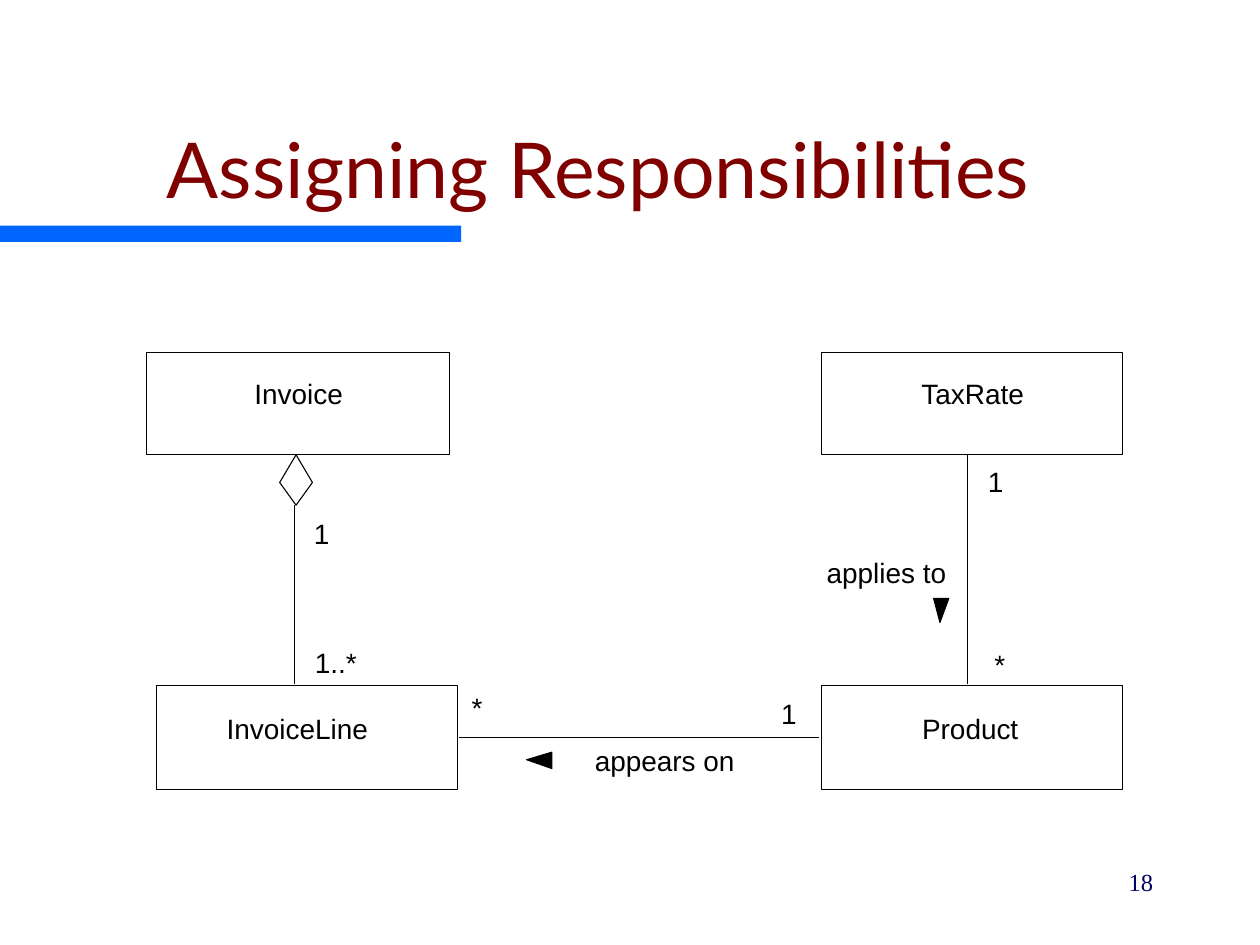
from typing import NamedTuple

from lxml.etree import SubElement
from pptx import Presentation
from pptx.dml.color import RGBColor
from pptx.enum.shapes import MSO_CONNECTOR as Connector, MSO_SHAPE as Shape
from pptx.enum.text import (MSO_ANCHOR as Anchor, MSO_AUTO_SIZE as AutoSize,
                            PP_ALIGN as Align)
from pptx.oxml.ns import qn
from pptx.slide import Slide
from pptx.text.text import TextFrame
from pptx.util import Inches, Pt

BLACK = RGBColor(0x00, 0x00, 0x00)
MAROON = RGBColor(0x80, 0x00, 0x00)
NAVY = RGBColor(0x00, 0x00, 0x66)
BLUE = RGBColor(0x00, 0x66, 0xFF)
LINE_WIDTH = Pt(0.62)
LABEL_HEIGHT = 0.27


class Label(NamedTuple):
    text: str
    left: float
    top: float
    width: float


class ClassBox(NamedTuple):
    left: float
    top: float
    width: float
    height: float
    name: Label


class Association(NamedTuple):
    start: tuple[float, float]
    end: tuple[float, float]


class Outline(NamedTuple):
    points: list[tuple[float, float]]
    filled: bool


CLASSES = [
    ClassBox(1.16, 2.8, 2.41, 0.81, Label("Invoice", 2.01, 2.99, 0.72)),
    ClassBox(1.24, 5.44, 2.39, 0.83, Label("InvoiceLine", 1.79, 5.65, 1.14)),
    ClassBox(6.52, 5.44, 2.39, 0.83, Label("Product", 7.31, 5.65, 0.78)),
    ClassBox(6.52, 2.8, 2.39, 0.81, Label("TaxRate", 7.3, 2.99, 0.84)),
]
ASSOCIATIONS = [
    Association((2.34, 5.43), (2.34, 4.01)),
    Association((6.5, 5.85), (3.64, 5.85)),
    Association((7.68, 3.61), (7.68, 5.43)),
]
OUTLINES = [
    Outline([(2.35, 3.61), (2.22, 3.83), (2.35, 4.01), (2.48, 3.83)], False),
    Outline([(4.38, 5.97), (4.38, 6.1), (4.18, 6.03)], True),
    Outline([(7.41, 4.75), (7.53, 4.75), (7.46, 4.94)], True),
]
LABELS = [
    Label("1..*", 2.49, 5.12, 0.35),
    Label("1", 2.49, 4.1, 0.12),
    Label("1", 6.2, 5.53, 0.12),
    Label("*", 3.74, 5.48, 0.09),
    Label("appears on", 4.72, 5.9, 1.11),
    Label("1", 7.84, 3.69, 0.12),
    Label("*", 7.89, 5.14, 0.09),
    Label("applies to", 6.56, 4.41, 0.95),
]


def write_text(frame: TextFrame, text: str, *, size: float = 16,
               font: str = "Arial", color: RGBColor = BLACK,
               align: Align = Align.CENTER, anchor: Anchor = Anchor.TOP,
               wrap: bool = False, margins: tuple[float, float] = (0, 0),
               space_before: float = 0) -> None:
    frame.word_wrap = wrap
    frame.auto_size = AutoSize.NONE if wrap else AutoSize.SHAPE_TO_FIT_TEXT
    frame.vertical_anchor = anchor
    frame.margin_left = frame.margin_right = Inches(margins[0])
    frame.margin_top = frame.margin_bottom = Inches(margins[1])
    para = frame.paragraphs[0]
    para.alignment = align
    para.space_before = Pt(space_before)
    span = para.add_run()
    span.text = text
    span.font.size = Pt(size)
    span.font.name = font
    span.font.color.rgb = color


def outline_shape(shape, filled: bool = False) -> None:
    shape.shadow.inherit = False
    shape.line.color.rgb = BLACK
    shape.line.width = LINE_WIDTH
    if filled:
        shape.fill.solid()
        shape.fill.fore_color.rgb = BLACK
    else:
        shape.fill.background()


def add_label(page: Slide, label: Label) -> None:
    box = page.shapes.add_textbox(Inches(label.left), Inches(label.top),
                                  Inches(label.width), Inches(LABEL_HEIGHT))
    write_text(box.text_frame, label.text)


def add_class(page: Slide, item: ClassBox) -> None:
    box = page.shapes.add_shape(Shape.RECTANGLE, *map(Inches, item[:4]))
    outline_shape(box)
    add_label(page, item.name)


def add_association(page: Slide, item: Association) -> None:
    line = page.shapes.add_connector(Connector.STRAIGHT,
                                     *map(Inches, item.start + item.end))
    line.line.color.rgb = BLACK
    line.line.width = LINE_WIDTH
    SubElement(line._element.spPr, qn("a:effectLst"))


def add_outline(page: Slide, item: Outline) -> None:
    start, *others = [(Inches(x), Inches(y)) for x, y in item.points]
    builder = page.shapes.build_freeform(*start)
    builder.add_line_segments(others, close=True)
    outline_shape(builder.convert_to_shape(), item.filled)


def add_heading(page: Slide) -> None:
    rule = page.shapes.add_shape(Shape.RECTANGLE, 0, Inches(1.79),
                                 Inches(3.66), Inches(0.13))
    rule.shadow.inherit = False
    rule.fill.solid()
    rule.fill.fore_color.rgb = BLUE
    rule.line.fill.background()
    title = page.shapes.title
    title.left, title.top = Inches(0.25), Inches(0.5)
    title.width, title.height = Inches(9), Inches(1.25)
    write_text(title.text_frame, "Assigning Responsibilities", size=44,
               font="Lato", color=MAROON, anchor=Anchor.BOTTOM, wrap=True,
               margins=(0.1, 0.05))


def add_page_number(page: Slide) -> None:
    box = page.shapes.add_textbox(Inches(7.17), Inches(6.83),
                                  Inches(2.08), Inches(0.5))
    write_text(box.text_frame, "18", size=14, font="Times New Roman",
               color=NAVY, align=Align.RIGHT, wrap=True,
               margins=(0.1, 0.05), space_before=8.8)


def main() -> None:
    deck = Presentation()
    deck.slide_width, deck.slide_height = Inches(10), Inches(7.5)
    page = deck.slides.add_slide(deck.slide_layouts.get_by_name("Title Only"))
    add_heading(page)
    for item in CLASSES:
        add_class(page, item)
    for item in ASSOCIATIONS:
        add_association(page, item)
    for item in OUTLINES:
        add_outline(page, item)
    for label in LABELS:
        add_label(page, label)
    add_page_number(page)
    deck.save("out.pptx")


if __name__ == "__main__":
    main()
